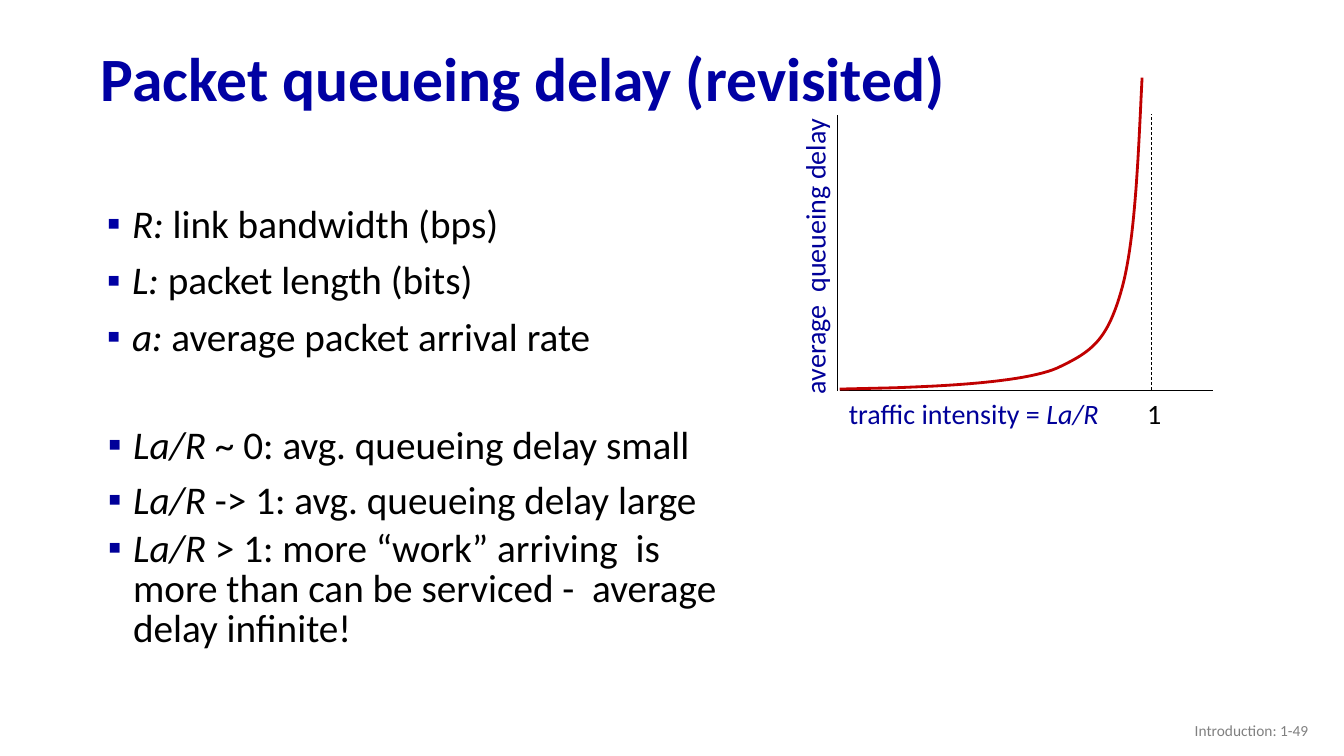
"""Build the slide on packet queueing delay against traffic intensity."""
from dataclasses import dataclass
from typing import NamedTuple

from lxml.etree import SubElement
from pptx import Presentation
from pptx.dml.color import RGBColor
from pptx.enum.dml import MSO_LINE_DASH_STYLE as Dash
from pptx.enum.shapes import MSO_CONNECTOR as Connector
from pptx.enum.text import MSO_ANCHOR as Anchor, MSO_AUTO_SIZE as AutoSize, PP_ALIGN as Align
from pptx.oxml.ns import qn
from pptx.util import Emu, Inches, Pt

TITLE_BLUE = RGBColor(0x00, 0x00, 0xA3)
LABEL_BLUE = RGBColor(0x00, 0x00, 0x99)
BLACK = RGBColor(0x00, 0x00, 0x00)
GRAY = RGBColor(0x80, 0x80, 0x80)
CURVE_RED = RGBColor(0xC0, 0x00, 0x00)

FONT = "Calibri"
WIDTH, HEIGHT = Inches(13.333), Inches(7.5)
BULLET_INDENT = Inches(0.25)
STEPS = 24


class Point(NamedTuple):
    """A place in percent of the slide's width and height."""
    x: float
    y: float


class Box(NamedTuple):
    """A frame in percent of the slide's width and height."""
    left: float
    top: float
    width: float
    height: float


class Piece(NamedTuple):
    """A stretch of text in one style."""
    text: str
    italic: bool = False


@dataclass(frozen=True)
class Item:
    """A bulleted line: an italic term and its explanation."""
    term: str
    rest: str
    spacing: float


@dataclass(frozen=True)
class BulletList:
    """A list in one body placeholder."""
    box: Box
    bullet_color: RGBColor
    space_before: float
    items: tuple[Item, ...]


@dataclass(frozen=True)
class Label:
    """A single line of text in its own box."""
    box: Box
    pieces: tuple[Piece, ...]
    color: RGBColor = LABEL_BLUE
    size: float = 20
    align: Align = Align.CENTER
    anchor: Anchor = Anchor.TOP
    spacing: float = 0.85
    rotation: float = 0


@dataclass(frozen=True)
class Rule:
    """A thin straight line of the chart."""
    start: Point
    end: Point
    dashed: bool = False


TITLE_BOX = Box(6.75, 4.27, 86.25, 13.07)

LISTS = (
    BulletList(Box(7.2, 26.4, 50.18, 26), TITLE_BLUE, 10, (
        Item("R:", " link bandwidth (bps)", 0.9),
        Item("L:", " packet length (bits)", 0.9),
        Item("a: ", "average packet arrival rate", 0.9),
    )),
    BulletList(Box(7.28, 54.93, 48.98, 28.13), LABEL_BLUE, 5.6, (
        Item("La/R", " ~ 0: avg. queueing delay small", 1.0),
        Item("La/R ", "-> 1: avg. queueing delay large", 1.0),
        Item("La/R ", "> 1: more “work” arriving  is more than can be serviced -  "
             "average delay infinite!", 0.85),
    )),
)

LABELS = (
    Label(Box(75.6, 94, 22.5, 5.33), (Piece("Introduction: 1-49"),), GRAY, 11,
          Align.RIGHT, Anchor.MIDDLE, 1.0),
    Label(Box(60.53, 52.53, 23.85, 7.33),
          (Piece("traffic intensity = "), Piece("La/R", True))),
    Label(Box(50.18, 30.27, 22.5, 7.33), (Piece("average  queueing delay"),), rotation=270),
    Label(Box(83.78, 52.53, 4.2, 7.33), (Piece("1"),), BLACK),
)

RULES = (
    Rule(Point(62.48, 51.6), Point(90.23, 51.6)),
    Rule(Point(62.33, 51.73), Point(62.33, 15.2)),
    Rule(Point(85.65, 51.6), Point(85.65, 15.07), dashed=True),
)

DELAY_CURVE = (
    Point(62.48, 51.47), Point(65.48, 51.33), Point(66.38, 51.33), Point(67.88, 51.2),
    Point(69.45, 51.07), Point(76.13, 50.67), Point(78.68, 48.67),
    Point(81.23, 46.53), Point(82.35, 45.07), Point(83.4, 38.67),
    Point(84.45, 32.4), Point(84.68, 21.33), Point(84.98, 10.27),
)


def across(share: float) -> Emu:
    """Turn percent of the slide's width into a length."""
    return Emu(round(WIDTH * share / 100))


def down(share: float) -> Emu:
    """Turn percent of the slide's height into a length."""
    return Emu(round(HEIGHT * share / 100))


def place(shape, box: Box) -> None:
    """Move and size a shape."""
    shape.left, shape.top = across(box.left), down(box.top)
    shape.width, shape.height = across(box.width), down(box.height)


def write(paragraph, pieces: tuple[Piece, ...], size: float, color: RGBColor,
          bold: bool = False) -> None:
    """Fill a paragraph with styled pieces."""
    paragraph.text = pieces[0].text
    for piece in pieces[1:]:
        paragraph.add_run().text = piece.text
    for run, piece in zip(paragraph.runs, pieces):
        run.font.name, run.font.size = FONT, Pt(size)
        run.font.bold, run.font.italic = bold, piece.italic
        run.font.color.rgb = color


def add_bullet(paragraph, color: RGBColor) -> None:
    """Give a paragraph a coloured square bullet and hanging indent."""
    properties = paragraph._p.get_or_add_pPr()
    properties.set("marL", str(BULLET_INDENT))
    properties.set("indent", str(-BULLET_INDENT))
    SubElement(SubElement(properties, qn("a:buClr")), qn("a:srgbClr"), val=str(color))
    SubElement(properties, qn("a:buChar"), char="▪")


def fill_title(title) -> None:
    """Place and write the slide title."""
    place(title, TITLE_BOX)
    frame = title.text_frame
    frame.auto_size, frame.vertical_anchor = AutoSize.NONE, Anchor.MIDDLE
    paragraph = frame.paragraphs[0]
    paragraph.alignment, paragraph.line_spacing = Align.LEFT, 0.9
    write(paragraph, (Piece("Packet queueing delay (revisited)"),), 44, TITLE_BLUE, True)


def fill_list(body, bullet_list: BulletList) -> None:
    """Place and write a bulleted list."""
    place(body, bullet_list.box)
    frame = body.text_frame
    frame.auto_size = AutoSize.NONE
    for index, item in enumerate(bullet_list.items):
        paragraph = frame.add_paragraph() if index else frame.paragraphs[0]
        add_bullet(paragraph, bullet_list.bullet_color)
        paragraph.line_spacing = item.spacing
        paragraph.space_before = Pt(bullet_list.space_before if index else 0)
        write(paragraph, (Piece(item.term, True), Piece(item.rest)), 28, BLACK)


def add_label(slide, label: Label) -> None:
    """Add a one-line text box."""
    shape = slide.shapes.add_textbox(0, 0, 0, 0)
    place(shape, label.box)
    shape.rotation = label.rotation
    frame = shape.text_frame
    frame.word_wrap, frame.vertical_anchor = True, label.anchor
    paragraph = frame.paragraphs[0]
    paragraph.alignment, paragraph.line_spacing = label.align, label.spacing
    write(paragraph, label.pieces, label.size, label.color)


def add_rule(slide, rule: Rule) -> None:
    """Add an axis or limit line."""
    line = slide.shapes.add_connector(
        Connector.STRAIGHT, across(rule.start.x), down(rule.start.y),
        across(rule.end.x), down(rule.end.y))
    line.line.color.rgb, line.line.width = BLACK, Pt(0.5)
    if rule.dashed:
        line.line.dash_style = Dash.DASH
    SubElement(line._element.spPr, qn("a:effectLst"))


def bezier(controls: tuple[Point, ...], t: float) -> tuple[Emu, Emu]:
    """Give the place at t on a cubic curve."""
    weights = ((1 - t) ** 3, 3 * t * (1 - t) ** 2, 3 * t * t * (1 - t), t ** 3)
    return (across(sum(w * point.x for w, point in zip(weights, controls))),
            down(sum(w * point.y for w, point in zip(weights, controls))))


def add_curve(slide, points: tuple[Point, ...]) -> None:
    """Add the delay curve through its cubic sections."""
    places = [bezier(points[first:first + 4], step / STEPS)
              for first in range(0, len(points) - 1, 3) for step in range(1, STEPS + 1)]
    builder = slide.shapes.build_freeform(across(points[0].x), down(points[0].y))
    builder.add_line_segments(places, close=False)
    curve = builder.convert_to_shape()
    curve.shadow.inherit = False
    curve.fill.background()
    curve.line.color.rgb, curve.line.width = CURVE_RED, Pt(2)


def main() -> None:
    """Build and save the presentation."""
    presentation = Presentation()
    presentation.slide_width, presentation.slide_height = WIDTH, HEIGHT
    slide = presentation.slides.add_slide(presentation.slide_layouts[3])
    title, *bodies = slide.placeholders
    fill_title(title)
    for body, bullet_list in zip(bodies, LISTS):
        fill_list(body, bullet_list)
    for label in LABELS:
        add_label(slide, label)
    for rule in RULES:
        add_rule(slide, rule)
    add_curve(slide, DELAY_CURVE)
    presentation.save("out.pptx")


if __name__ == "__main__":
    main()
